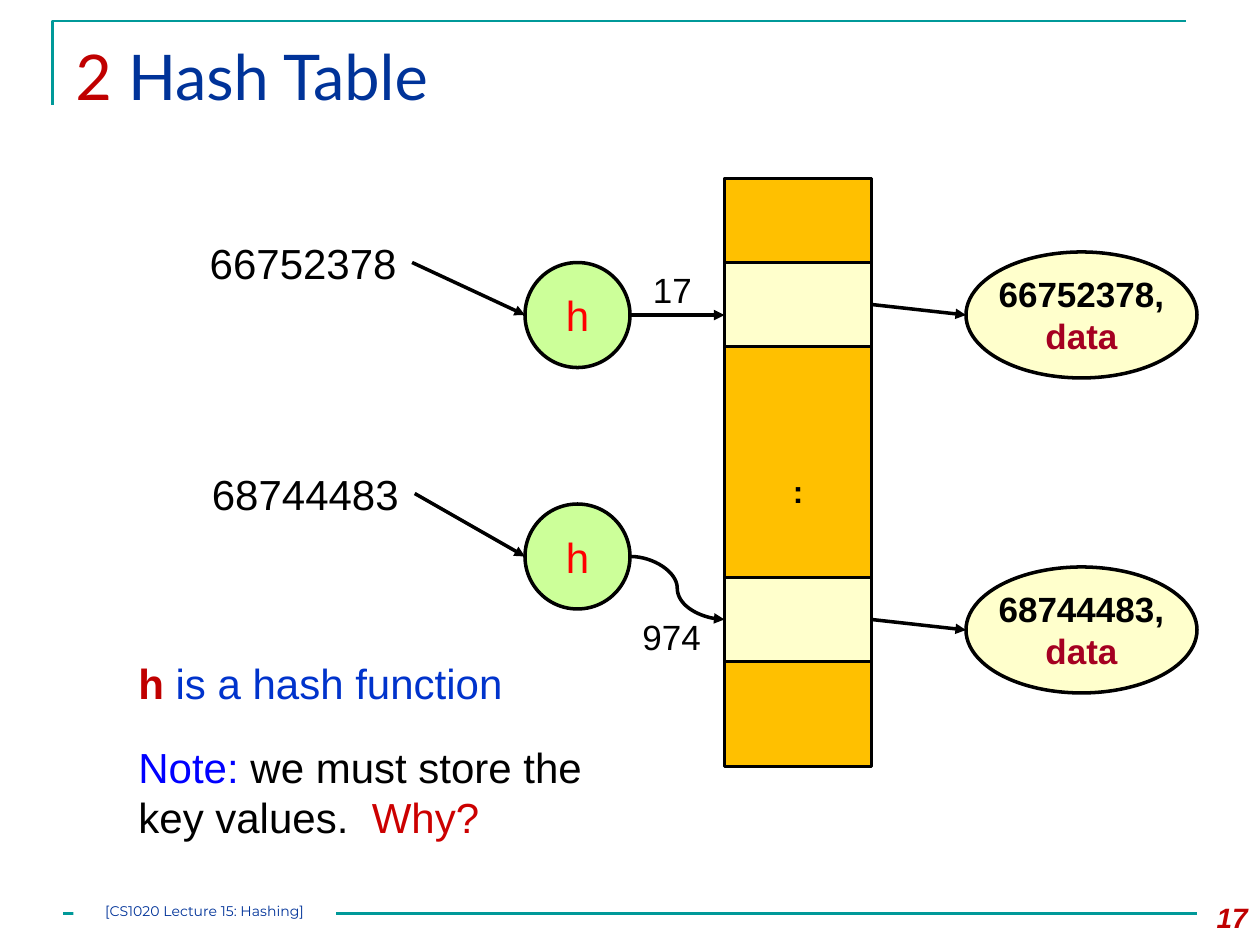
from dataclasses import dataclass
from lxml.etree import SubElement
from pptx import Presentation
from pptx.dml.color import RGBColor as RGB
from pptx.enum.shapes import MSO_CONNECTOR as LINE, MSO_SHAPE as SHAPE
from pptx.enum.text import MSO_ANCHOR as ANCHOR, PP_ALIGN as ALIGN
from pptx.oxml.ns import qn
from pptx.util import Inches, Pt


@dataclass(frozen=True)
class Theme:
    black: str = "000000"
    white: str = "FFFFFF"
    teal: str = "009999"
    navy: str = "003399"
    blue: str = "0033CC"
    note: str = "0000FF"
    accent: str = "C00000"
    why: str = "CC0000"
    hash: str = "FF0000"
    data: str = "A50021"
    slot: str = "FFC000"
    pale: str = "FFFFCC"
    green: str = "CCFF99"
    title: int = 36
    body: int = 24
    label: int = 20
    dots: int = 18
    page: int = 16
    footer: int = 8
    rule: float = 1.5
    stroke: int = 2


T = Theme()
COLS, ROWS = 120, 90
UNIT = Inches(10) / COLS

TABLE = (69, 17, 14, 56)
CELL_H, NODE_W, NODE_H, HASH_D = 8, 22, 12, 10
HASH_X, NODE_X = 50, 92
ENTRIES = [
    dict(key="66752378", key_at=(18.8, 22, 20.4, 6), start=(39.25, 25),
         hash_y=25, cell_y=25, node_y=24, index="17",
         index_at=(61, 25, 9, 5.2), curved=False),
    dict(key="68744483", key_at=(19, 44, 20.4, 6), start=(39.5, 47),
         hash_y=48, cell_y=55, node_y=54, index="974",
         index_at=(60, 58, 8, 5.2), curved=True),
]
TEXTS = [
    ((6, 3, 108, 12), [[("2 ", T.accent), ("Hash Table", T.navy)]],
     dict(size=T.title, font="Lato")),
    ((12, 62, 37.5, 6),
     [[("h", T.accent, True), (" is a hash function", T.blue)]],
     dict(wrap=False)),
    ((12, 70, 45.2, 11),
     [[("Note: ", T.note), ("we must store the key values.  ", T.black),
       ("Why?", T.why)]], {}),
    ((112, 85.2, 8, 4.8), [[("17", T.accent, True)]],
     dict(size=T.page, italic=True, align=ALIGN.RIGHT)),
]
FOOTER = ((7, 86, 25, 2), [[("[CS1020 Lecture 15: Hashing]", T.navy)]])


def grid(*cells):
    return [round(c * UNIT) for c in cells]


def write(sp, paras, size=T.body, font="Arial", align=ALIGN.LEFT,
          anchor=ANCHOR.TOP, wrap=True, italic=False, margins=None):
    tf = sp.text_frame
    tf.word_wrap, tf.vertical_anchor = wrap, anchor
    if margins:
        (tf.margin_left, tf.margin_top,
         tf.margin_right, tf.margin_bottom) = map(Inches, margins)
    for i, runs in enumerate(paras):
        p = tf.add_paragraph() if i else tf.paragraphs[0]
        p.alignment = align
        for text, color, *bold in runs:
            r = p.add_run()
            r.text = text
            r.font.name, r.font.size = font, Pt(size)
            r.font.bold, r.font.italic = bool(bold), italic
            r.font.color.rgb = RGB.from_string(color)


def textbox(s, at, paras, **fmt):
    write(s.shapes.add_textbox(*grid(*at)), paras, **fmt)


def shape(s, kind, at, fill, outline=True):
    sp = s.shapes.add_shape(kind, *grid(*at))
    sp.shadow.inherit = False
    sp.fill.solid()
    sp.fill.fore_color.rgb = RGB.from_string(fill)
    if outline:
        sp.line.color.rgb = RGB.from_string(T.black)
        sp.line.width = Pt(T.stroke)
    else:
        sp.line.fill.background()
    return sp


def centered(s, kind, at, fill, paras, **fmt):
    write(shape(s, kind, at, fill), paras, align=ALIGN.CENTER,
          anchor=ANCHOR.MIDDLE, wrap=False, **fmt)


def connect(s, start, end, kind=LINE.STRAIGHT, color=T.black,
            width=T.stroke, arrow=True):
    c = s.shapes.add_connector(kind, *grid(*start, *end))
    c.line.color.rgb = RGB.from_string(color)
    c.line.width = Pt(width)
    if arrow:
        SubElement(c.line._get_or_add_ln(), qn("a:tailEnd"), type="triangle")
    SubElement(c._element.spPr, qn("a:effectLst"))
    return c


def frame(s):
    fb = s.shapes.build_freeform(*grid(5, 10))
    fb.add_line_segments([grid(5, 2), grid(113, 2)], close=False)
    sp = fb.convert_to_shape()
    sp.shadow.inherit = False
    sp.fill.background()
    sp.line.color.rgb = RGB.from_string(T.teal)
    sp.line.width = Pt(T.rule)
    connect(s, (6, 87), (114, 87), color=T.teal, width=T.rule, arrow=False)


def entry(s, e):
    x, _, w, _ = TABLE
    hash_mid = e["hash_y"] + HASH_D / 2
    cell_mid = e["cell_y"] + CELL_H / 2
    node_mid = e["node_y"] + NODE_H / 2
    textbox(s, e["key_at"], [[(e["key"], T.black)]], wrap=False)
    centered(s, SHAPE.OVAL, (HASH_X, e["hash_y"], HASH_D, HASH_D), T.green,
             [[("h", T.hash)]])
    cell = shape(s, SHAPE.RECTANGLE, (x, e["cell_y"], w, CELL_H), T.pale)
    centered(s, SHAPE.OVAL, (NODE_X, e["node_y"], NODE_W, NODE_H), T.pale,
             [[(e["key"] + ",", T.black, True)], [("data", T.data, True)]],
             size=T.label)
    connect(s, e["start"], (HASH_X, hash_mid))
    out = (HASH_X + HASH_D, hash_mid)
    if e["curved"]:
        connect(s, out, (x, cell_mid), LINE.CURVE).end_connect(cell, 1)
    else:
        connect(s, out, (x, hash_mid))
    connect(s, (x + w, cell_mid), (NODE_X, node_mid)).begin_connect(cell, 3)
    textbox(s, e["index_at"], [[(e["index"], T.black)]], size=T.label,
            wrap=e["index"] == "17")


def main():
    prs = Presentation()
    prs.slide_width, prs.slide_height = grid(COLS, ROWS)
    s = prs.slides.add_slide(prs.slide_layouts[6])
    frame(s)
    centered(s, SHAPE.RECTANGLE, TABLE, T.slot, [[(":", T.black, True)]],
             size=T.dots, margins=(0.1, 0.34, 0.1, 0.05))
    shape(s, SHAPE.RECTANGLE, (*TABLE[:3], CELL_H), T.slot)
    for e in ENTRIES:
        entry(s, e)
    for at, paras, fmt in TEXTS:
        textbox(s, at, paras, **fmt)
    at, paras = FOOTER
    write(shape(s, SHAPE.RECTANGLE, at, T.white, outline=False), paras,
          size=T.footer, font="Montserrat", align=ALIGN.CENTER,
          margins=(0, 0, 0, 0))
    prs.save("out.pptx")


if __name__ == "__main__":
    main()
